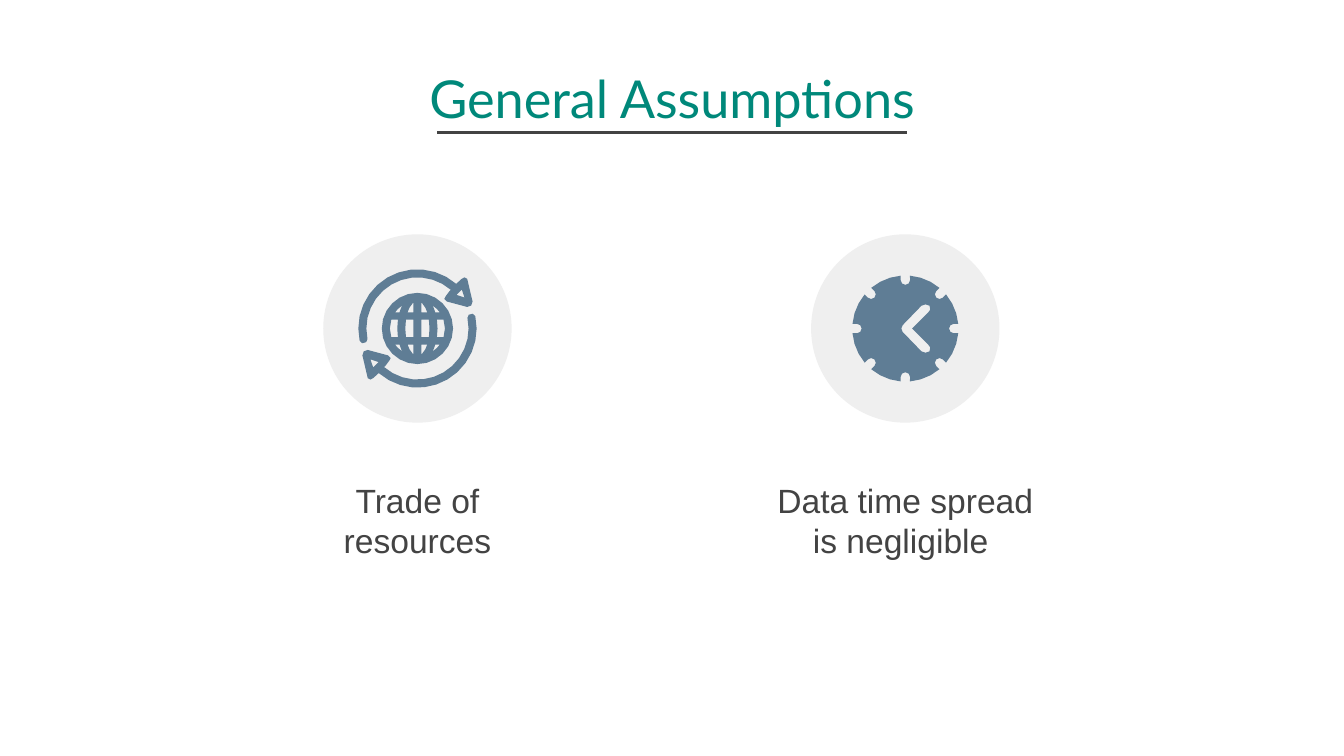
from dataclasses import dataclass
from math import cos, radians, sin, sqrt

from lxml.etree import SubElement
from pptx import Presentation
from pptx.dml.color import RGBColor
from pptx.enum.shapes import MSO_CONNECTOR, MSO_SHAPE
from pptx.enum.text import MSO_ANCHOR, MSO_AUTO_SIZE, PP_ALIGN
from pptx.oxml.ns import qn
from pptx.util import Cm, Pt


@dataclass(frozen=True)
class Theme:
    teal: RGBColor = RGBColor.from_string("00887A")
    dark: RGBColor = RGBColor.from_string("434343")
    disc: RGBColor = RGBColor.from_string("EFEFEF")
    icon: RGBColor = RGBColor.from_string("5F7D95")
    title_font: str = "Lato"
    body_font: str = "Arial"
    title_size: int = 28
    body_size: int = 18


THEME = Theme()
ICON_UNIT = Cm(2.54) / 100
ICON_MIDDLE = 6.21
DISC_RADIUS = 1.78
TRADE_X, CLOCK_X = 7.89, 17.11


def polar(radius, degrees):
    return radius * cos(radians(degrees)), radius * sin(radians(degrees))


def arc(radius, start, end, steps):
    return [polar(radius, start + (end - start) * i / steps) for i in range(steps + 1)]


def mirror(points, x_sign, y_sign):
    return [(x * x_sign, y * y_sign) for x, y in points]


def fill_text(placeholder, text, box, font_format, anchor):
    placeholder.left, placeholder.top, placeholder.width, placeholder.height = map(Cm, box)
    frame = placeholder.text_frame
    margins = dict.fromkeys(
        ("margin_left", "margin_top", "margin_right", "margin_bottom"), Cm(0.26))
    frame_format = {"word_wrap": True, "auto_size": MSO_AUTO_SIZE.NONE,
                    "vertical_anchor": anchor, **margins}
    for name, value in frame_format.items():
        setattr(frame, name, value)
    para = frame.paragraphs[0]
    para.alignment = PP_ALIGN.CENTER
    para.space_before = Pt(0)
    span = para.add_run()
    span.text = text
    for name, value in font_format.items():
        if name == "color":
            span.font.color.rgb = value
        else:
            setattr(span.font, name, value)


def paint(shape, color):
    shape.shadow.inherit = False
    shape.fill.solid()
    shape.fill.fore_color.rgb = color
    shape.line.fill.background()


def add_rule(page, left, right, y):
    rule = page.shapes.add_connector(
        MSO_CONNECTOR.STRAIGHT, Cm(left), Cm(y), Cm(right), Cm(y))
    rule.line.color.rgb = THEME.dark
    rule.line.width = Pt(1.5)
    SubElement(rule._element.spPr, qn("a:effectLst"))


def add_disc(page, center_x):
    disc = page.shapes.add_shape(
        MSO_SHAPE.OVAL, Cm(center_x - DISC_RADIUS), Cm(ICON_MIDDLE - DISC_RADIUS),
        Cm(2 * DISC_RADIUS), Cm(2 * DISC_RADIUS))
    paint(disc, THEME.disc)


def add_outline(shapes, center_x, contours):
    """Draw one shape around the icon centre; contours after the first are holes."""
    scaled = [[(x * ICON_UNIT, y * ICON_UNIT) for x, y in contour] for contour in contours]
    builder = shapes.build_freeform(*scaled[0][0], scale=1.0)
    for index, contour in enumerate(scaled):
        if index:
            builder.move_to(*contour[0])
        builder.add_line_segments(contour[1:], close=True)
    paint(builder.convert_to_shape(Cm(center_x), Cm(ICON_MIDDLE)), THEME.icon)


def arrow_contours():
    tail = [polar(39.5, 165), polar(42.5, 165)]
    head = [(33, -37), (35, -38), (37, -37), (41, -20), (40, -17), (37, -16),
            (22, -20), (20, -22), (21, -24), (24, -28)]
    body = tail + arc(44, 168, 311, 12) + head + arc(38, 311, 168, 12)
    return [body, [(33, -29), (35, -23), (29, -25)]]


def globe_cell(inner, outer, top, bottom, steps=2):
    """Outline the gap between two curves that give x for a height y."""
    heights = [top + (bottom - top) * i / steps for i in range(steps + 1)]
    return ([(inner(y), y) for y in heights]
            + [(outer(y), y) for y in reversed(heights)])


def globe_contours():
    def ellipse(half_width, half_height):
        return lambda y: half_width * sqrt(1 - (y / half_height) ** 2)

    near = (lambda y: 3, ellipse(9, 20.5))
    far = (ellipse(15, 26), ellipse(20.5, 20.5))
    contours = [arc(26.5, 0, 345, 23)]
    for curves, pole in ((near, 19), (far, 17)):
        polar_cell = globe_cell(*curves, -pole, -12)
        middle_cell = globe_cell(*curves, -6.5, 6.5)
        for side in (-1, 1):
            contours.append(mirror(middle_cell, side, 1))
            contours += [mirror(polar_cell, side, half) for half in (-1, 1)]
    return contours


def clock_contours():
    face = []
    for angle in range(0, 360, 45):
        notch = [(36 - x, y) for x, y in arc(3.5, -90, 90, 4)]
        along, across = polar(1, angle)
        face += [(u * along - v * across, u * across + v * along) for u, v in notch]
        face += arc(39.5, angle + 5, angle + 40, 3)
    upper_hand = [(-3, 0), (-2, -2.5), (12, -17), (15, -18), (18, -17),
                  (18.5, -14), (17, -12), (5, 0)]
    return [face, upper_hand + mirror(upper_hand[-2:0:-1], 1, -1)]


def add_trade_icon(page):
    add_disc(page, TRADE_X)
    icon = page.shapes.add_group_shape()
    arrow = arrow_contours()
    turned = [mirror(contour, -1, -1) for contour in arrow]
    for contours in (arrow, turned, globe_contours()):
        add_outline(icon.shapes, TRADE_X, contours)


def add_clock_icon(page):
    add_disc(page, CLOCK_X)
    add_outline(page.shapes, CLOCK_X, clock_contours())


def main():
    deck = Presentation()
    deck.slide_width, deck.slide_height = Cm(25.4), Cm(14.29)
    page = deck.slides.add_slide(deck.slide_layouts.get_by_name("Comparison"))
    slots = {slot.placeholder_format.idx: slot for slot in page.placeholders}

    title_format = {"name": THEME.title_font, "size": Pt(THEME.title_size),
                    "color": THEME.teal}
    body_format = {"name": THEME.body_font, "size": Pt(THEME.body_size),
                   "bold": False, "color": THEME.dark}
    fill_text(slots.pop(0), "General Assumptions", (0.15, 1.28, 25.1, 1.12),
              title_format, MSO_ANCHOR.MIDDLE)
    captions = ((1, TRADE_X, "Trade of resources"),
                (3, CLOCK_X, "Data time spread is negligible "))
    width = 5.79
    for slot, center_x, text in captions:
        fill_text(slots.pop(slot), text, (center_x - width / 2, 8.81, width, 1.6),
                  body_format, MSO_ANCHOR.TOP)
    for unused in slots.values():
        unused._element.getparent().remove(unused._element)

    add_rule(page, 8.26, 17.14, 2.51)
    add_trade_icon(page)
    add_clock_icon(page)
    deck.save("out.pptx")


if __name__ == "__main__":
    main()
